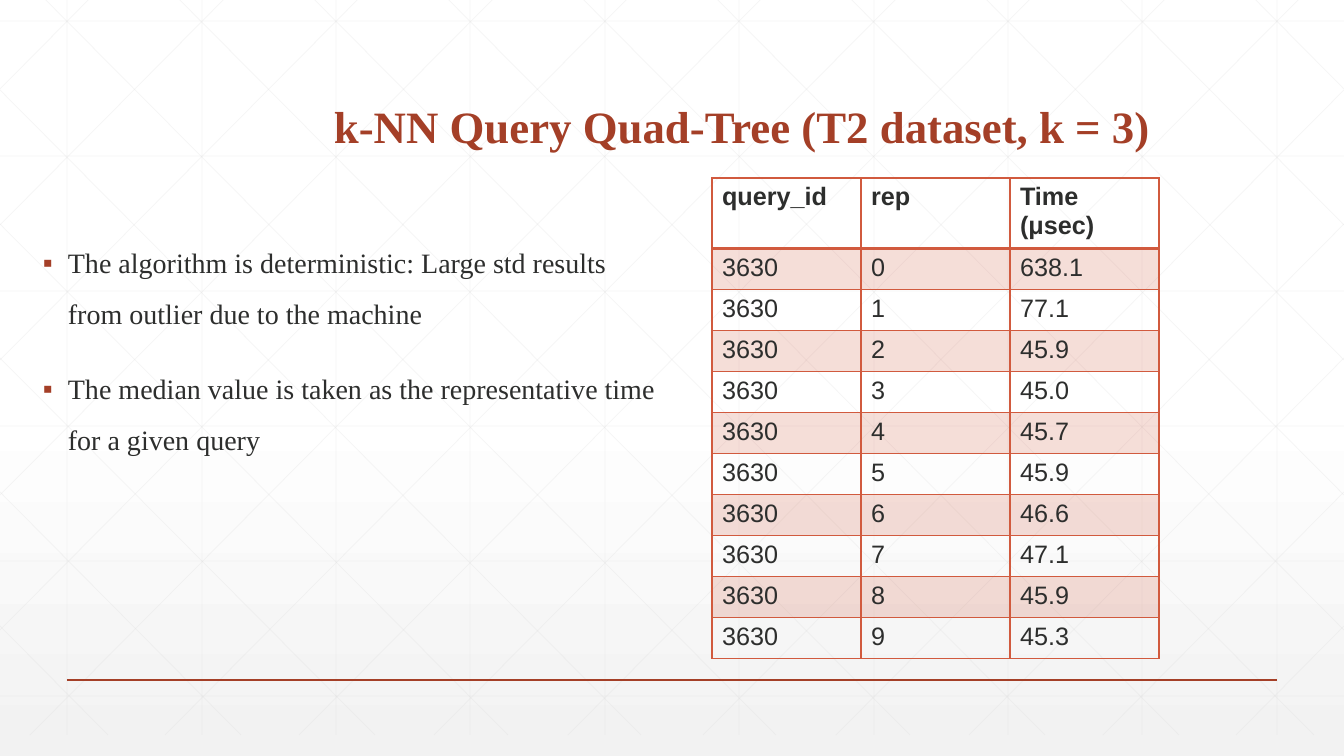
from dataclasses import dataclass

import pptx
import pptx.dml.color
import pptx.enum.shapes
import pptx.enum.text
import pptx.oxml
import pptx.oxml.ns
import pptx.util
from copy import deepcopy
from lxml import etree

EMU_PER_PX = 914400 / 100.8
WIDTH, HEIGHT = 1344, 756
GRID_TOP, GRID_BOTTOM = -21, 735
DIAGONAL_RUN = 751  # horizontal travel of a full-height diagonal
STEP = 134.4

COLOURS = {
    "white": "FFFFFF",
    "floor": "F2F2F2",
    "grid": "D9D9D9",
    "rust": "A43F27",
    "table": "D15A3E",
    "text": "2D2E2D",
}
SERIF, SANS = "Times New Roman", "Arial"

TITLE = "k-NN Query Quad-Tree (T2 dataset, k = 3)"
BULLETS = [
    "The algorithm is deterministic: Large std results from outlier due to the machine",
    "The median value is taken as the representative time for a given query",
]
HEADERS = ["query_id", "rep", "Time (μsec)"]
QUERY_ID = "3630"
TIMES = ["638.1", "77.1", "45.9", "45.0", "45.7", "45.9", "46.6", "47.1", "45.9", "45.3"]


@dataclass(frozen=True)
class Line:
    x1: int
    y1: int
    x2: int
    y2: int
    colour: str = "grid"
    width: float = 0.5
    opacity: int = 25

    def mirrored(self) -> "Line":
        return Line(WIDTH - self.x1, self.y1, WIDTH - self.x2, self.y2)


@dataclass(frozen=True)
class TextStyle:
    font: str
    size: int
    colour: str
    bold: bool = False


TITLE_STYLE = TextStyle(SERIF, 32, "rust", True)
BODY_STYLE = TextStyle(SERIF, 20, "text")
HEADER_STYLE = TextStyle(SANS, 18, "text", True)
CELL_STYLE = TextStyle(SANS, 18, "text")


def px(length: int) -> pptx.util.Emu:
    return pptx.util.Emu(round(length * EMU_PER_PX))


def rgb(name: str) -> pptx.dml.color.RGBColor:
    return pptx.dml.color.RGBColor.from_string(COLOURS[name])


def add_child(parent, tag: str, **attributes: str):
    return etree.SubElement(parent, pptx.oxml.ns.qn(tag), attributes)


def set_opacity(element, percent: int) -> None:
    for colour in element.iter(pptx.oxml.ns.qn("a:srgbClr")):
        add_child(colour, "a:alpha", val=str(percent * 1000))


def add_run(paragraph, text: str, style: TextStyle) -> None:
    run = paragraph.add_run()
    run.text = text
    run.font.name = style.font
    run.font.size = pptx.util.Pt(style.size)
    run.font.bold = style.bold
    run.font.color.rgb = rgb(style.colour)


def add_line(shapes, line: Line) -> None:
    connector = shapes.add_connector(
        pptx.enum.shapes.MSO_CONNECTOR.STRAIGHT,
        px(line.x1), px(line.y1), px(line.x2), px(line.y2))
    connector.line.color.rgb = rgb(line.colour)
    connector.line.width = pptx.util.Pt(line.width)
    properties = connector._element.spPr
    if line.opacity < 100:
        set_opacity(properties, line.opacity)
    add_child(properties, "a:effectLst")


def grid_lines() -> list[Line]:
    columns = [round(67.2 + STEP * i) for i in range(10)]
    rows = [21 + 135 * i for i in range(6)]
    slope = (GRID_BOTTOM - GRID_TOP) / DIAGONAL_RUN
    falling = []
    for i in range(10):
        start = round(25 + STEP * i)
        end = min(start + DIAGONAL_RUN, WIDTH)
        falling.append(Line(start, GRID_TOP, end, round(GRID_TOP + (end - start) * slope)))
    for i in range(5):
        start = 90 + 134 * i
        falling.append(Line(0, start, round((GRID_BOTTOM - start) / slope), GRID_BOTTOM))
    return ([Line(x, GRID_TOP, x, GRID_BOTTOM) for x in columns]
            + [Line(0, y, WIDTH, y) for y in rows]
            + falling + [line.mirrored() for line in falling])


def paint_background(slide) -> None:
    fill = slide.background.fill
    fill.gradient()
    fill.gradient_angle = 270
    stop_list = slide._element.find(".//" + pptx.oxml.ns.qn("a:gsLst"))
    stop_list.insert(1, deepcopy(stop_list[0]))
    stops = [(0, "white"), (0.53, "white"), (1, "floor")]
    for stop, (position, colour) in zip(fill.gradient_stops, stops):
        stop.position = position
        stop.color.rgb = rgb(colour)


def add_text_frame(shapes, left: int, top: int, width: int, height: int):
    frame = shapes.add_textbox(px(left), px(top), px(width), px(height)).text_frame
    frame.word_wrap = True
    return frame


def add_bullets(shapes) -> None:
    frame = add_text_frame(shapes, 33, 224, 639, 368)
    for i, text in enumerate(BULLETS):
        paragraph = frame.add_paragraph() if i else frame.paragraphs[0]
        paragraph.line_spacing = 1.5
        paragraph.space_before = pptx.util.Pt(18)
        properties = paragraph._p.get_or_add_pPr()
        properties.set("marL", str(px(25)))
        properties.set("indent", str(px(-25)))
        bullet_colour = add_child(properties, "a:buClr")
        add_child(bullet_colour, "a:srgbClr", val=COLOURS["rust"])
        add_child(properties, "a:buFont", typeface=SANS)
        add_child(properties, "a:buChar", char="▪")
        add_run(paragraph, text, BODY_STYLE)


def set_borders(cell, row: int) -> None:
    widths = {"L": 1, "R": 1, "T": 2 if row == 1 else 1, "B": 2 if row == 0 else 1}
    for side, width in widths.items():
        border = add_child(cell._tc.get_or_add_tcPr(), "a:ln" + side,
                           w=str(pptx.util.Pt(width)))
        fill = add_child(border, "a:solidFill")
        add_child(fill, "a:srgbClr", val=COLOURS["table"])


def add_times_table(shapes) -> None:
    rows = [HEADERS] + [[QUERY_ID, str(rep), time] for rep, time in enumerate(TIMES)]
    table = shapes.add_table(len(rows), len(HEADERS), px(712), px(178), px(447), px(477)).table
    table.horz_banding = False
    for column in table.columns:
        column.width = px(149)
    for r, values in enumerate(rows):
        table.rows[r].height = px(41 if r else 67)
        for c, text in enumerate(values):
            cell = table.cell(r, c)
            add_run(cell.text_frame.paragraphs[0], text, CELL_STYLE if r else HEADER_STYLE)
            set_borders(cell, r)
            if r % 2:
                cell.fill.solid()
                cell.fill.fore_color.rgb = rgb("table")
                set_opacity(cell._tc.tcPr.find(pptx.oxml.ns.qn("a:solidFill")), 20)
            else:
                cell.fill.background()


def add_title(shapes) -> None:
    frame = add_text_frame(shapes, 324, 55, 876, 103)
    frame.vertical_anchor = pptx.enum.text.MSO_ANCHOR.BOTTOM
    frame.paragraphs[0].line_spacing = 0.9
    add_run(frame.paragraphs[0], TITLE, TITLE_STYLE)


def main() -> None:
    presentation = pptx.Presentation()
    presentation.slide_width, presentation.slide_height = px(WIDTH), px(HEIGHT)
    slide = presentation.slides.add_slide(presentation.slide_layouts[6])

    # Backdrop: gradient, faint grid and footer rule
    paint_background(slide)
    grid = slide.shapes.add_group_shape()
    for line in grid_lines():
        add_line(grid.shapes, line)
    add_line(slide.shapes, Line(67, 680, 1277, 680, "rust", 1, 100))

    # Content
    add_bullets(slide.shapes)
    add_times_table(slide.shapes)
    add_title(slide.shapes)
    presentation.save("out.pptx")


if __name__ == "__main__":
    main()
